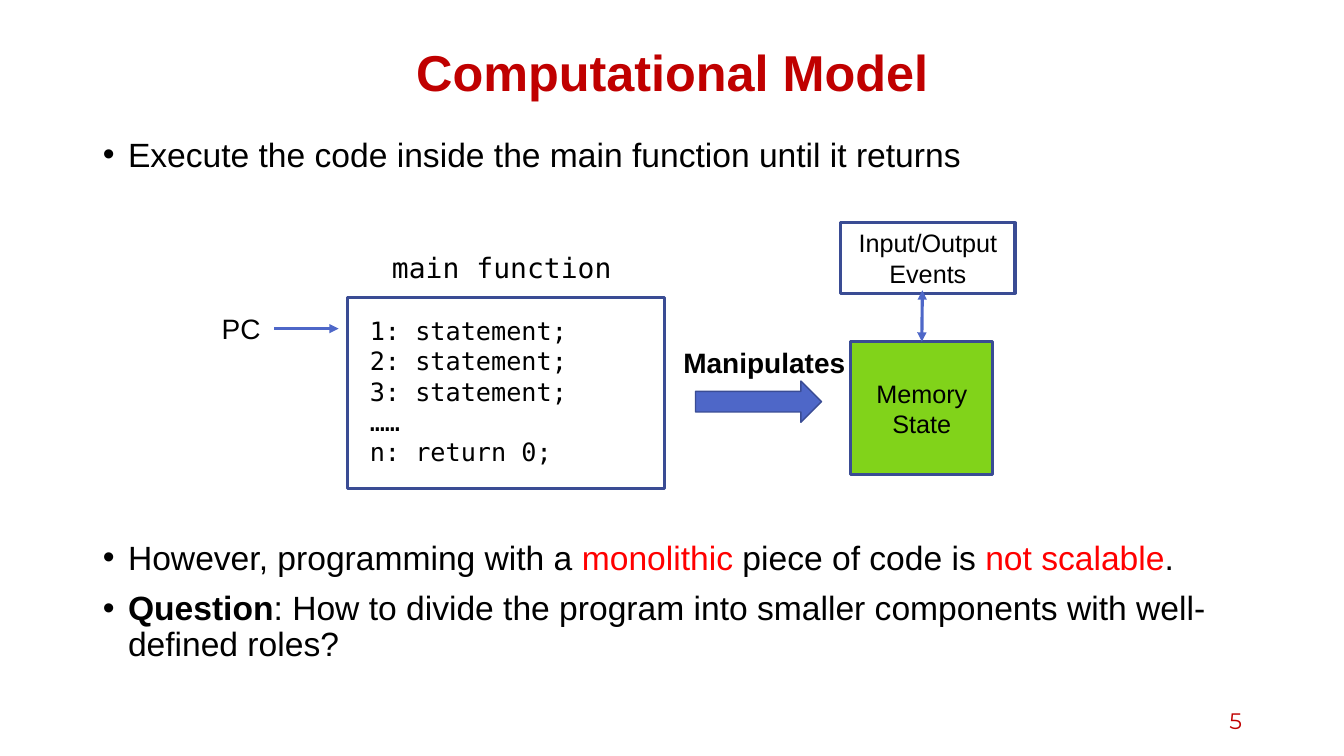
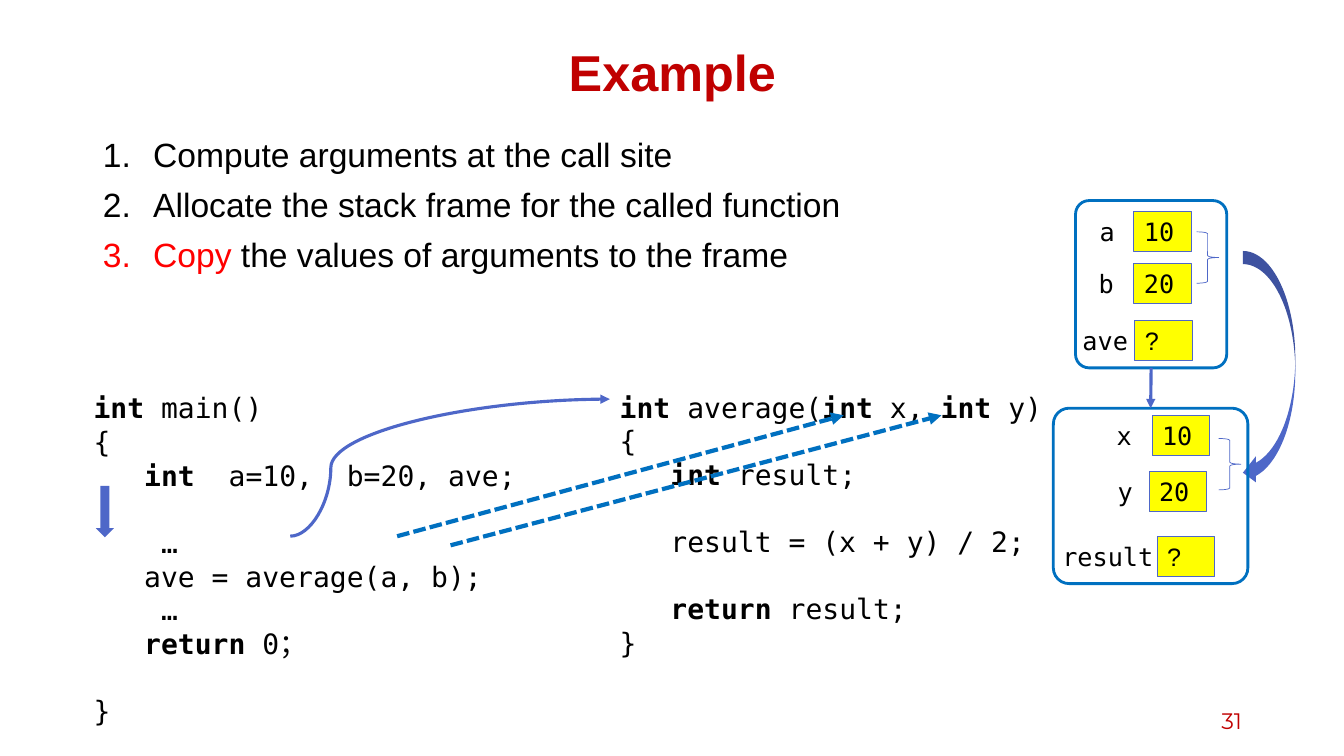
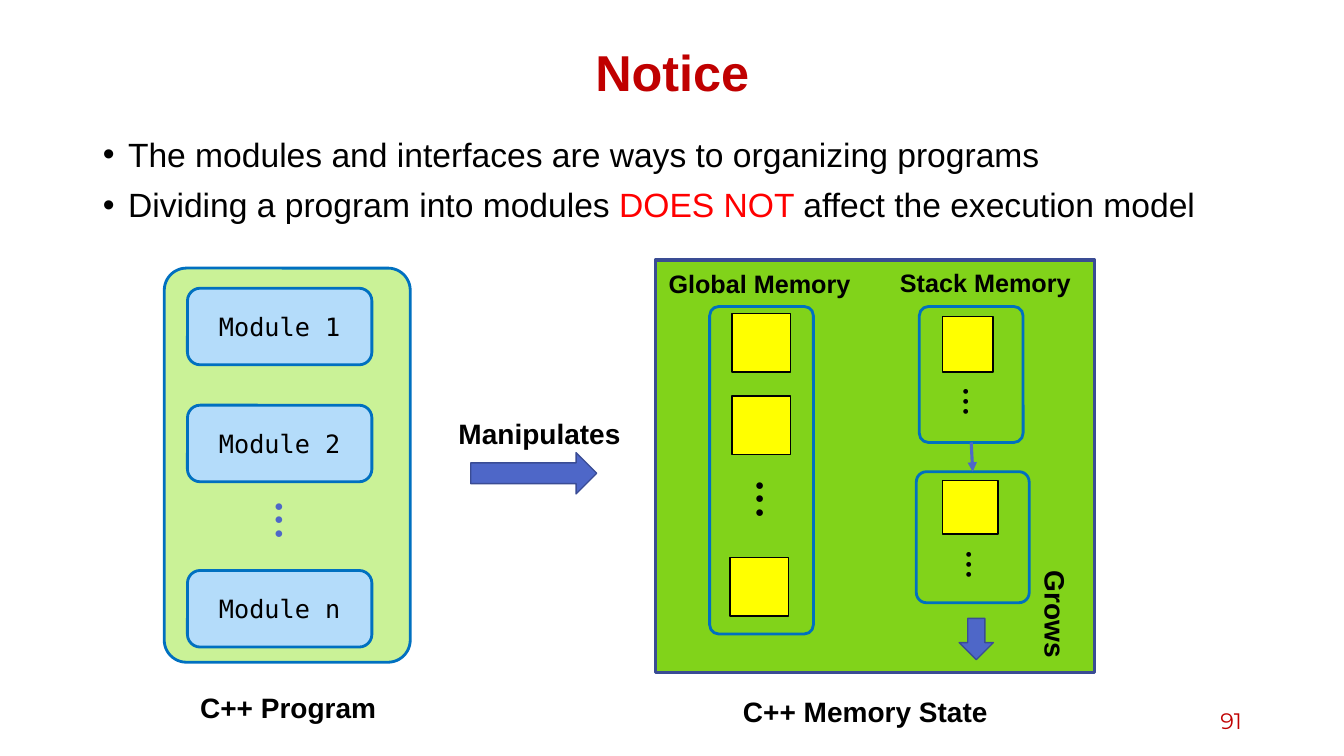
"""Build three lecture slides on program execution, stack frames and modules."""
from lxml.etree import SubElement
from pptx import Presentation
from pptx.dml.color import RGBColor
from pptx.enum.dml import MSO_LINE
from pptx.enum.shapes import MSO_CONNECTOR, MSO_SHAPE
from pptx.enum.text import MSO_ANCHOR, MSO_AUTO_SIZE, PP_ALIGN
from pptx.oxml.ns import qn
from pptx.util import Inches, Pt

CELL = Inches(0.1)
COLUMNS, ROWS = 133.33, 75
SANS, MONO, NUMERALS = "Arial", "DejaVu Sans Mono", "Montserrat"
BLACK, WHITE, RED, CRIMSON = "000000", "FFFFFF", "FF0000", "C00000"
INDIGO, NAVY, BLUE, SKY = "4E67C8", "3A4C94", "0070C0", "B4DCFA"
GREEN, LIME, YELLOW = "81D31A", "CAF297", "FFFF00"
LEFT, CENTER, RIGHT = PP_ALIGN.LEFT, PP_ALIGN.CENTER, PP_ALIGN.RIGHT
TOP, MIDDLE = MSO_ANCHOR.TOP, MSO_ANCHOR.MIDDLE
BOLD, REDDEN = {"bold": True}, {"color": RED}
ROUNDING = 0.09


def draw(slide, kind, at, fill=None, line=None, width=2.25, turn=0, rounding=None):
    """Place a preset shape, or a text box when kind is None, on the grid."""
    place = [round(cells * CELL) for cells in at]
    if kind is None:
        shape = slide.shapes.add_textbox(*place)
    else:
        shape = slide.shapes.add_shape(kind, *place)
        shape.shadow.inherit = False
        shape.fill.background()
        shape.line.fill.background()
    if fill:
        shape.fill.solid()
        shape.fill.fore_color.rgb = RGBColor.from_string(fill)
    if line:
        shape.line.color.rgb = RGBColor.from_string(line)
        shape.line.width = Pt(width)
    if rounding:
        shape.adjustments[0] = rounding
    shape.rotation = turn
    return shape


def write(shape, lines, size, name=SANS, color=BLACK, bold=False, align=LEFT,
          anchor=TOP, accents=(), gaps=None, gap=0, spacing=1.0, bullet=None, indent=0):
    """Fill a shape with lines whose parts between bars take that line's accent."""
    frame = shape.text_frame
    for key, value in {"word_wrap": True, "auto_size": MSO_AUTO_SIZE.NONE,
                       "vertical_anchor": anchor}.items():
        setattr(frame, key, value)
    for row, line in enumerate(lines):
        paragraph = frame.add_paragraph() if row else frame.paragraphs[0]
        if bullet:
            properties = paragraph._p.get_or_add_pPr()
            properties.set("marL", str(round(indent * CELL)))
            properties.set("indent", str(round(-indent * CELL)))
            tag, key, value = bullet
            SubElement(properties, qn(tag)).set(key, value)
        before = (gaps or {}).get(row, gap) if row else 0
        for key, value in {"alignment": align, "line_spacing": spacing,
                           "space_before": Pt(before), "space_after": Pt(0)}.items():
            setattr(paragraph, key, value)
        for part, text in enumerate(line.split("|")):
            if not text:
                continue
            look = {"name": name, "size": Pt(size), "bold": bold, "color": color}
            if part % 2:
                look.update(accents[row] if accents else BOLD)
            run = paragraph.add_run()
            run.text = text
            run.font.color.rgb = RGBColor.from_string(look.pop("color"))
            for key, value in look.items():
                setattr(run.font, key, value)


prs = Presentation()
prs.slide_width, prs.slide_height = round(COLUMNS * CELL), ROWS * CELL

DOT = ("a:buChar", "char", "•")
NUMBER = ("a:buAutoNum", "type", "arabicPeriod")
outline = [
    ("Computational Model", "5", DOT, 2.5, {1: 262}, (None, REDDEN, BOLD), [
        "Execute the code inside the main function until it returns",
        "However, programming with a |monolithic| piece of code is |not scalable|.",
        "|Question|: How to divide the program into smaller components with "
        "well-defined roles?"]),
    ("Example", "31", NUMBER, 5, {}, (None, None, REDDEN), [
        "Compute arguments at the call site",
        "Allocate the stack frame for the called function",
        "|Copy| the values of arguments to the frame"]),
    ("Notice", "91", DOT, 2.5, {}, (None, REDDEN), [
        "The modules and interfaces are ways to organizing programs",
        "Dividing a program into modules |DOES NOT |affect the execution model"]),
]
slides = []
for heading, page, bullet, indent, gaps, accents, points in outline:
    slide = prs.slides.add_slide(prs.slide_layouts[1])
    title, body = slide.shapes.title, slide.placeholders[1]
    for holder, top, height in ((title, 4, 7), (body, 13.2, 55.1)):
        for key, cells in {"left": 9.2, "top": top, "width": 115, "height": height}.items():
            setattr(holder, key, round(cells * CELL))
    write(title, [heading], 36, color=CRIMSON, bold=True, align=CENTER,
          anchor=MIDDLE, spacing=0.9)
    write(body, points, 24, accents=accents, gaps=gaps, gap=10, spacing=0.9,
          bullet=bullet, indent=indent)
    write(draw(slide, None, (94.2, 69.5, 30, 4)), [page], 16, NUMERALS, CRIMSON,
          align=RIGHT, anchor=MIDDLE)
    slides.append(slide)
model, example, notice = slides

draw(model, MSO_SHAPE.RECTANGLE, (34.5, 29.5, 31.4, 19), WHITE, NAVY)
write(draw(model, None, (35.7, 30.8, 28.9, 16.2)),
      ["1: statement;", "2: statement;", "3: statement;", "……", "n: return 0;"], 18, MONO)
write(draw(model, None, (37.9, 24.4, 26.8, 4.4)), ["main function"], 20, MONO)
write(draw(model, None, (21, 30.4, 6.6, 4.4)), ["PC"], 20)
memory = draw(model, MSO_SHAPE.RECTANGLE, (84.4, 33.9, 14.1, 13.2), GREEN, NAVY)
write(memory, ["Memory", "State"], 18, align=CENTER, anchor=MIDDLE)
events = draw(model, MSO_SHAPE.RECTANGLE, (83.4, 22.1, 17.3, 7), WHITE, NAVY)
write(events, ["Input/Output Events"], 18, align=CENTER, anchor=MIDDLE)

caller_code = ["|int| main()", "{", "   |int|  a=10,  b=20, ave;", "    …",
               "   ave = average(a, b);", "    …", "   |return| 0；", "}"]
callee_code = ["|int| average(|int| x, |int |y)", "{", "   |int| result;",
               "   result = (x + y) / 2;", "   |return| result;", "}"]
for left, top, height, code, gaps in ((8.3, 38.3, 31.3, caller_code, {3: 24, 7: 24}),
                                      (60.5, 38.2, 27.9, callee_code, {3: 24, 4: 24})):
    write(draw(example, None, (left, top, 46.4, height)), code, 20, MONO, gaps=gaps)

variables = [
    ("a", "10", 108.1, 112.5, 21), ("b", "20", 108, 112.5, 26.15),
    ("ave", "?", 106.4, 112.6, 31.8), ("x", "10", 109.8, 114.3, 41.2),
    ("y", "20", 109.9, 114, 46.8), ("result", "?", 104.4, 114.8, 53.2),
]
for variable, value, label_left, value_left, top in variables:
    write(draw(example, MSO_SHAPE.RECTANGLE, (value_left, top, 5.7, 4), YELLOW, INDIGO, 0.75),
          [value], 18, SANS if value == "?" else MONO)
    write(draw(example, None, (label_left, top, 11.7, 4)), [variable], 18, MONO)
for left, top in ((118.7, 23), (120.9, 43.5)):
    draw(example, MSO_SHAPE.RIGHT_BRACE, (left, top, 2.2, 5.1), line=INDIGO, width=0.5)
draw(example, MSO_SHAPE.DOWN_ARROW, (9.5, 48.2, 1.8, 5.1), INDIGO)
draw(example, MSO_SHAPE.CURVED_LEFT_ARROW, (123.3, 24.9, 5.2, 23.3), INDIGO)
caller_frame, callee_frame = [
    draw(example, MSO_SHAPE.ROUNDED_RECTANGLE, at, line=BLUE, width=2, rounding=ROUNDING)
    for at in ((106.7, 19.9, 15, 16.6), (104.5, 40.5, 19.3, 17.4))]

draw(notice, MSO_SHAPE.RECTANGLE, (65, 25.8, 43.6, 40.9), GREEN, NAVY)
for at in ((72.6, 31.1, 5.8, 5.8), (72.6, 39.3, 5.8, 5.8), (72.4, 55.3, 5.8, 5.8),
           (93.5, 31.4, 5, 5.5), (93.5, 47.7, 5.5, 5.3)):
    draw(notice, MSO_SHAPE.RECTANGLE, at, YELLOW, BLACK, 1)
global_frame, upper_frame, lower_frame, program = [
    draw(notice, MSO_SHAPE.ROUNDED_RECTANGLE, at, fill, BLUE, 2, rounding=ROUNDING)
    for at, fill in (((70.4, 30.4, 10.3, 32.5), None), ((91.2, 30.4, 10.3, 13.5), None),
                     ((90.9, 46.8, 11.2, 13), None), ((16.3, 26.6, 24.4, 39.1), LIME))]
for module, top in (("1", 28.6), ("2", 40.2), ("n", 56.6)):
    write(draw(notice, MSO_SHAPE.ROUNDED_RECTANGLE, (18.6, top, 18.3, 7.6), SKY, BLUE, 2),
          [f"Module {module}"], 18, MONO, align=CENTER, anchor=MIDDLE)
for at, size, color in (((71.3, 49.5, 8.4, 2.9), 11, BLACK), ((92.1, 40.5, 7.9, 2.1), 8, BLACK),
                        ((92.5, 56.4, 7.6, 2.2), 8, BLACK), ((23.6, 51.6, 8.4, 2.9), 11, INDIGO)):
    write(draw(notice, None, at, turn=90), ["● ● ●"], size, color=color)
draw(notice, MSO_SHAPE.RIGHT_ARROW, (94.8, 61.7, 4.1, 3.4), INDIGO, NAVY, 1, turn=90)
write(draw(notice, None, (99.1, 59, 11.2, 4.4), turn=90), ["Grows"], 20, bold=True)
for label, at, size in (("Global Memory", (65, 26.1, 20.7, 4), 18),
                        ("Stack Memory", (87.4, 26, 20.7, 4), 18),
                        ("C++ Program", (17.1, 68, 23, 4.4), 20),
                        ("C++ Memory State", (70.1, 68.4, 31.5, 4.4), 20)):
    write(draw(notice, None, at), [label], size, bold=True, align=CENTER)

for slide, left, top in ((model, 69, 37.8), (notice, 46.7, 44.9)):
    draw(slide, MSO_SHAPE.RIGHT_ARROW, (left, top, 12.5, 4.1), INDIGO, NAVY, 1)
    write(draw(slide, None, (left - 2.2, top - 4.05, 19.5, 4.4)), ["Manipulates"], 20, bold=True)

STRAIGHT, CURVE = MSO_CONNECTOR.STRAIGHT, MSO_CONNECTOR.CURVE
links = [
    (model, STRAIGHT, (27.2, 32.6, 33.6, 32.6), INDIGO, ("tailEnd",), None, None),
    (model, STRAIGHT, (91.5, 28.8, 91.5, 33.9), INDIGO, ("headEnd", "tailEnd"), None, memory),
    (example, STRAIGHT, (39.4, 53.2, 83.7, 41.2), BLUE, ("tailEnd",), None, None),
    (example, STRAIGHT, (44.7, 54.1, 93.4, 41.2), BLUE, ("tailEnd",), None, None),
    (example, CURVE, (28.8, 53.2, 60.5, 39.6), INDIGO, ("tailEnd",), None, None),
    (example, STRAIGHT, (114.2, 36.5, 114.1, 40.5), INDIGO, ("tailEnd",),
     caller_frame, callee_frame),
    (notice, STRAIGHT, (96.5, 43.9, 96.5, 46.8), INDIGO, ("tailEnd",), upper_frame, lower_frame),
]
for slide, kind, ends, color, heads, source, target in links:
    link = slide.shapes.add_connector(kind, *[round(cells * CELL) for cells in ends])
    link.line.color.rgb = RGBColor.from_string(color)
    link.line.width = Pt(3 if color == BLUE else 2.25)
    if color == BLUE:
        link.line.dash_style = MSO_LINE.SQUARE_DOT
    for head in heads:
        SubElement(link.line._get_or_add_ln(), qn(f"a:{head}")).set("type", "triangle")
    properties = link._element.spPr
    SubElement(properties, qn("a:effectLst"))
    if kind == CURVE:
        bend = SubElement(properties.find(f".//{qn('a:avLst')}"), qn("a:gd"))
        bend.set("name", "adj1")
        bend.set("fmla", "val 12700")
    if source:
        link.begin_connect(source, 2)
    if target:
        link.end_connect(target, 0)

prs.save("out.pptx")
